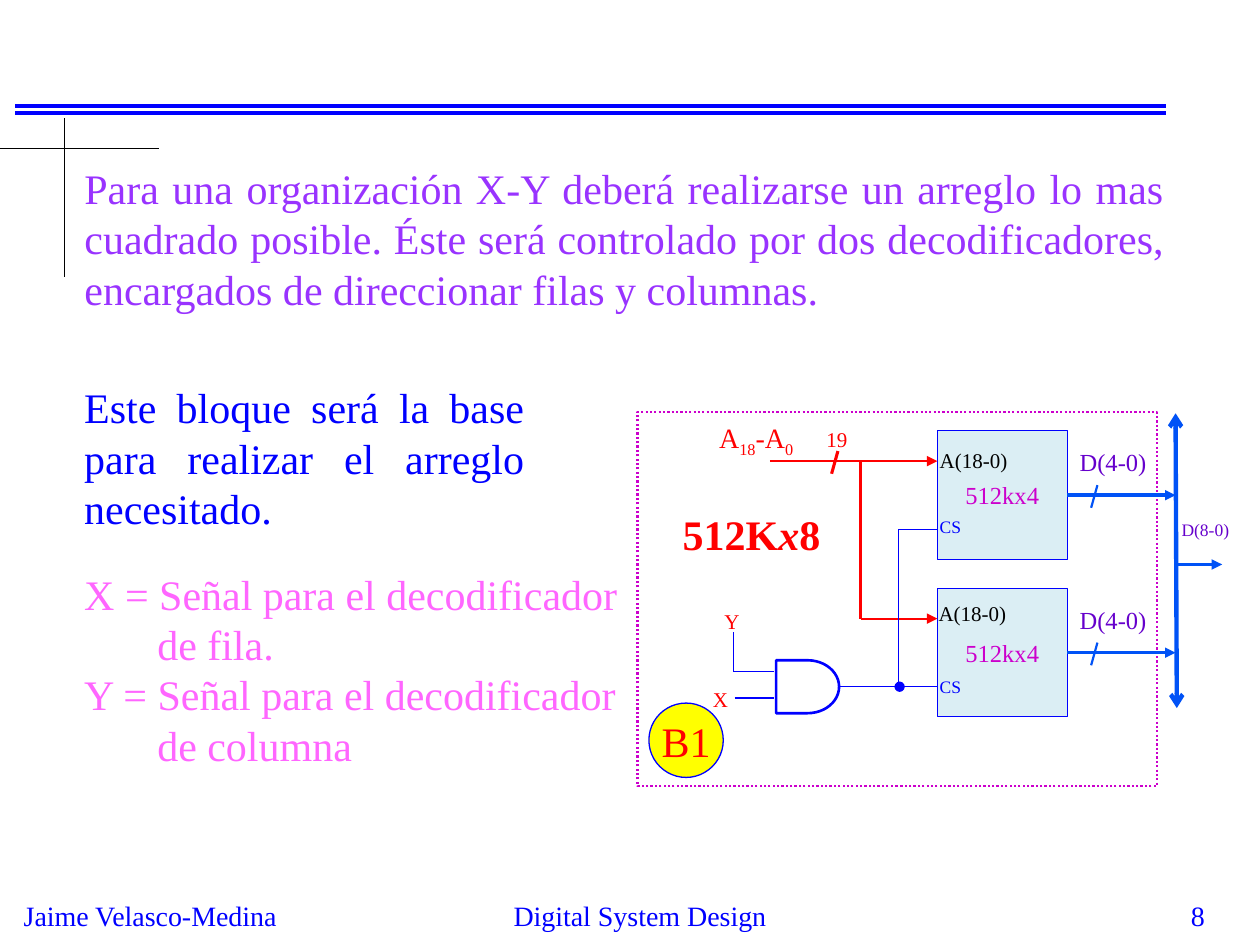
from lxml import etree
from pptx import Presentation
from pptx.dml.color import RGBColor
from pptx.enum.dml import MSO_LINE
from pptx.enum.shapes import MSO_CONNECTOR, MSO_SHAPE
from pptx.enum.text import MSO_ANCHOR, PP_ALIGN
from pptx.oxml.ns import qn
from pptx.util import Pt

PX = 9144  # 100 px to the inch
LEFT, CENTER, RIGHT, JUSTIFY = PP_ALIGN.LEFT, PP_ALIGN.CENTER, PP_ALIGN.RIGHT, PP_ALIGN.JUSTIFY
STRAIGHT = MSO_CONNECTOR.STRAIGHT
RECT, OVAL, DELAY = MSO_SHAPE.RECTANGLE, MSO_SHAPE.OVAL, MSO_SHAPE.FLOWCHART_DELAY
MIDDLE, DOTTED = MSO_ANCHOR.MIDDLE, MSO_LINE.ROUND_DOT
SIDE_RIGHT = 3
FONT = "Times New Roman"
BLUE, BUS, RED, PURPLE = "0000FF", "0052F6", "FF0000", "6600CC"
MAGENTA, YELLOW, PALE = "CC00CC", "FFFF00", "DBEEF4"
rgb = RGBColor.from_string


def write(tf, text, size, color, align=LEFT):
    """Fill tf: newlines part paragraphs, bars part the runs of a paragraph."""
    for i, line_text in enumerate(text.split("\n")):
        p = tf.add_paragraph() if i else tf.paragraphs[0]
        p.alignment = align
        for part in line_text.split("|"):
            r = p.add_run()
            r.text = part
            r.font.name, r.font.size = FONT, Pt(size)
            r.font.color.rgb = rgb(color)


def line(x1, y1, x2, y2, color, width, head=None, tail=None):
    c = s.shapes.add_connector(STRAIGHT, x1 * PX, y1 * PX, x2 * PX, y2 * PX)
    c.line.color.rgb = rgb(color)
    c.line.width = Pt(width)
    ln = c.line._get_or_add_ln()
    for tag, kind in (("a:headEnd", head), ("a:tailEnd", tail)):
        if kind:
            etree.SubElement(ln, qn(tag), type=kind)
    etree.SubElement(c._element.spPr, qn("a:effectLst"))
    return c


prs = Presentation()
prs.slide_width, prs.slide_height = 1000 * PX, 750 * PX
s = prs.slides.add_slide(prs.slide_layouts[1])
title, body = s.placeholders
title._element.getparent().remove(title._element)

# Header rules and corner cross
for y in (84, 90):
    line(12, y, 925, y, BLUE, 2.25)
line(0, 118, 126, 118, "000000", 0.75)
line(51, 94, 51, 220, "000000", 0.75)

# Main paragraph
body.left, body.top, body.width, body.height = 57 * PX, 124 * PX, 877 * PX, 130 * PX
write(body.text_frame,
      "Para una organización X-Y deberá realizarse un arreglo lo mas cuadrado posible. "
      "Éste será controlado por dos decodificadores, encargados de direccionar filas y columnas.",
      24, "9933FF", JUSTIFY)
p = body.text_frame.paragraphs[0]
p.space_before = Pt(0)
pPr = p._p.get_or_add_pPr()
pPr.set("marL", "0")
pPr.set("indent", "0")
etree.SubElement(pPr, qn("a:buNone"))

# Dotted frame, memory chips, AND gate and block badge
shapes = []
for kind, x, y, w, h, fill, color, width, text, size, text_color in (
    (RECT, 506, 327, 412, 297, None, MAGENTA, 1.25, "", 14, MAGENTA),
    (RECT, 744, 342, 103, 102, PALE, BLUE, 0.5, "512kx4", 14, MAGENTA),
    (RECT, 744, 467, 103, 102, PALE, BLUE, 0.5, "512kx4", 14, MAGENTA),
    (DELAY, 616, 524, 50, 42, None, BLUE, 1.5, "", 14, BLUE),
    (OVAL, 515, 558, 59, 59, YELLOW, BLUE, 0.75, "B1", 24, RED),
):
    sp = s.shapes.add_shape(kind, x * PX, y * PX, w * PX, h * PX)
    sp.shadow.inherit = False
    if fill:
        sp.fill.solid()
        sp.fill.fore_color.rgb = rgb(fill)
    else:
        sp.fill.background()
    sp.line.color.rgb = rgb(color)
    sp.line.width = Pt(width)
    if text:
        sp.text_frame.vertical_anchor = MIDDLE
        sp.text_frame.word_wrap = kind == RECT
        write(sp.text_frame, text, size, text_color, CENTER)
    shapes.append(sp)
frame, upper_chip, lower_chip, gate, badge = shapes
frame.line.dash_style = DOTTED

# Address bus
line(611, 366, 744, 366, RED, 1.25, tail="triangle")
line(683, 491, 683, 366, RED, 1.25)
line(683, 491, 744, 491, RED, 1.25, tail="triangle")
line(660, 376, 665, 358, RED, 1.75)

# Data buses
for chip, y in ((upper_chip, 393), (lower_chip, 518)):
    data = line(847, y, 933, y, BUS, 2, tail="triangle")
    data.begin_connect(chip, SIDE_RIGHT)
    line(866, y + 10, 871, y - 8, BUS, 1.25)
line(933, 328, 934, 562, BUS, 2.5, "arrow", "arrow")
line(935, 448, 970, 448, BUS, 2, tail="triangle")

# Chip select wiring
for x1, y1, x2, y2 in ((713, 420, 744, 420), (713, 420, 713, 545), (713, 545, 744, 545),
                       (582, 502, 582, 533), (582, 533, 614, 533), (583, 554, 614, 554)):
    line(x1, y1, x2, y2, BLUE, 0.75)
select = line(714, 545, 666, 545, BLUE, 0.75, head="oval")
select.end_connect(gate, SIDE_RIGHT)

# Labels, explanations and footer
boxes = {}
for x, y, w, h, text, size, color, align in (
    (561, 329, 99, 41, "A|18|-A|0", 16, RED, LEFT),
    (646, 334, 39, 50, "19", 12, RED, LEFT),
    (736, 350, 78, 30, "A(18-0)", 12, "000000", LEFT),
    (735, 472, 78, 30, "A(18-0)", 12, "000000", LEFT),
    (736, 405, 43, 27, "CS", 10, BLUE, LEFT),
    (736, 532, 43, 27, "CS", 10, BLUE, LEFT),
    (847, 350, 78, 34, "D(4-0)", 14, PURPLE, LEFT),
    (847, 475, 78, 34, "D(4-0)", 14, PURPLE, LEFT),
    (928, 407, 64, 27, "D(8-0)", 10, PURPLE, LEFT),
    (532, 399, 143, 50, "512K|x|8", 24, RED, LEFT),
    (565, 478, 39, 30, "Y", 12, RED, LEFT),
    (556, 540, 39, 30, "X", 12, RED, LEFT),
    (57, 298, 369, 130, "Este bloque será la base para realizar el arreglo necesitado.",
     24, BLUE, JUSTIFY),
    (57, 446, 576, 210, "X = Señal para el decodificador\nde fila.\n"
     "Y = Señal para el decodificador\nde columna", 24, "FF66FF", LEFT),
    (9, 708, 224, 37, "Jaime Velasco-Medina", 16, BLUE, LEFT),
    (333, 708, 350, 33, "Digital System Design", 16, BLUE, CENTER),
    (758, 708, 208, 25, "8", 16, BLUE, RIGHT),
):
    tf = s.shapes.add_textbox(x * PX, y * PX, w * PX, h * PX).text_frame
    tf.word_wrap = True
    write(tf, text, size, color, align)
    boxes[text.split()[0]] = tf

for r in boxes["A|18|-A|0"].paragraphs[0].runs[1::2]:
    r.font._element.set("baseline", "-25000")
for r in boxes["512K|x|8"].paragraphs[0].runs:
    r.font.bold = True
    r.font.italic = r.text == "x"
for p in boxes["X"].paragraphs[1::2]:
    p._p.get_or_add_pPr().set("marL", str(58 * PX))

prs.save("out.pptx")
